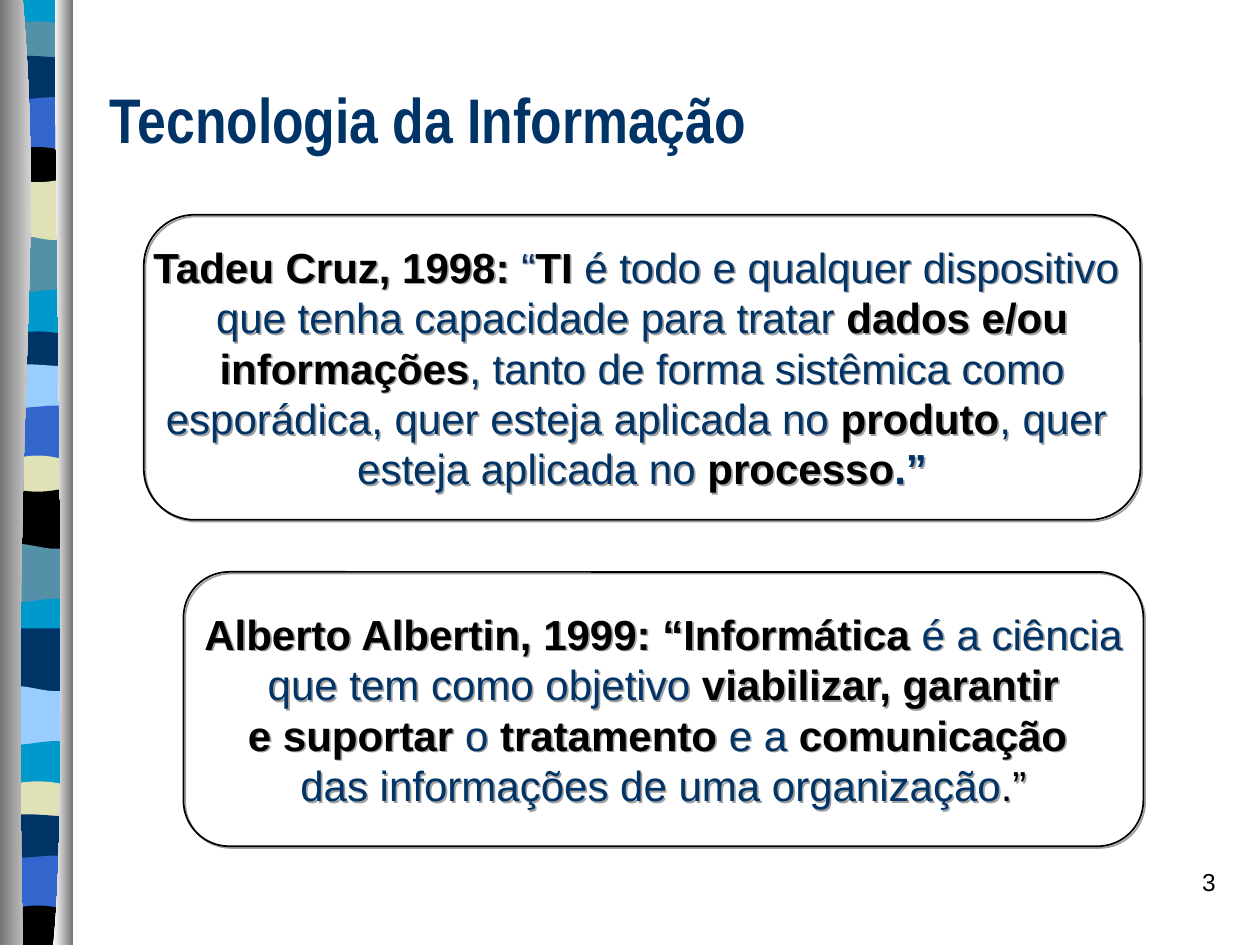
from dataclasses import dataclass

import pptx
import pptx.util
import pptx.dml.color
import pptx.enum.shapes
import pptx.enum.text
import pptx.oxml
from pptx.oxml.ns import nsdecls, qn
from pptx.util import Cm, Pt


@dataclass(frozen=True)
class Theme:
    navy: str = "003366"
    black: str = "000000"
    sky: str = "0099CC"
    teal: str = "5490A8"
    blue: str = "3366CC"
    pale: str = "99CCFF"
    sand: str = "E1E1B7"
    grey: str = "767676"
    white: str = "FFFFFF"
    shadow: str = "808080"
    title_font: str = "Arial Narrow"
    body_font: str = "Arial"
    title_size: int = 36
    body_size: int = 24
    number_size: int = 14


T = Theme()
ALIGN = pptx.enum.text.PP_ALIGN
ANCHOR = pptx.enum.text.MSO_ANCHOR
SLIDE_H = 19.05
RIBBON_LEFT, RIBBON_RIGHT = 0.08, 1.44

# Ribbon bands from the top: colour, top edge (cm), pull of its two curve handles
BANDS = [
    (T.sky, 0, 0, 0), (T.teal, 0.53, -0.13, -0.13), (T.navy, 1.17, -0.1, 0),
    (T.blue, 1.98, 0.08, -0.08), (T.black, 3.1, -0.18, -0.18),
    (T.sand, 3.56, 0.15, 0.15), (T.teal, 4.78, -0.15, 0.2),
    (T.sky, 5.89, 0.1, -0.15), (T.navy, 6.78, -0.13, -0.13),
    (T.pale, 7.39, -0.1, 0), (T.blue, 8.2, 0.08, -0.08),
    (T.sand, 9.32, -0.18, -0.18), (T.black, 9.8, 0.15, 0.15),
    (T.teal, 11, -0.15, 0.2), (T.sky, 12.12, 0.1, -0.15),
    (T.navy, 12.67, 0, 0), (T.pale, 13.87, -0.15, 0.2),
    (T.sky, 14.99, 0.1, -0.15), (T.sand, 15.85, -0.13, -0.13),
    (T.navy, 16.46, -0.1, 0), (T.blue, 17.27, 0.08, -0.08),
    (T.black, 18.39, -0.18, -0.18),
]

# Run styles: colour, bold
KEY = (T.black, True)
PLAIN = (T.navy, False)
NAVY_BOLD = (T.navy, True)
BLACK_PLAIN = (T.black, False)

CRUZ = [
    [("Tadeu Cruz, 1998: ", KEY), ("“", PLAIN), ("TI", KEY),
     (" é todo e qualquer dispositivo ", PLAIN)],
    [("que tenha capacidade para tratar ", PLAIN), ("dados e/ou", KEY)],
    [("informações", KEY), (", tanto de forma sistêmica como", PLAIN)],
    [("esporádica, quer esteja aplicada no ", PLAIN), ("produto", KEY),
     (", quer ", PLAIN)],
    [("esteja aplicada no ", PLAIN), ("processo", KEY), (".”", NAVY_BOLD)],
]
ALBERTIN = [
    [("Alberto Albertin, 1999: “Informática ", KEY), ("é a ciência", PLAIN)],
    [("que tem como objetivo", PLAIN), (" viabilizar, garantir", KEY)],
    [("e suportar ", KEY), ("o", PLAIN), (" tratamento ", KEY), ("e a", PLAIN),
     (" comunicação ", KEY)],
    [("das informações de uma organização", PLAIN), (".”", BLACK_PLAIN)],
]


def rgb(color):
    return pptx.dml.color.RGBColor.from_string(color)


def set_font(font, name, size, color, bold=False):
    font.name, font.size, font.bold = name, Pt(size), bold
    font.color.rgb = rgb(color)


def add_curved(shapes, curve, corners):
    """Closed shape: one Bezier side (four points, cm), then straight sides."""
    points = [(Cm(x), Cm(y)) for x, y in curve + corners]
    fb = shapes.build_freeform(*points[0])
    fb.add_line_segments(points[1:], close=True)
    sp = fb.convert_to_shape()
    sp.shadow.inherit = False
    sp.line.fill.background()
    # Merge the first three line steps into one cubic curve
    steps = list(sp._element.iter(qn("a:lnTo")))[:3]
    bezier = pptx.oxml.parse_xml(f'<a:cubicBezTo {nsdecls("a")}/>')
    steps[0].addprevious(bezier)
    for step in steps:
        bezier.append(step[0])
        step.getparent().remove(step)
    return sp


def add_band(shapes, color, top, pull1, pull2, bottom):
    third = (RIBBON_RIGHT - RIBBON_LEFT) / 3
    curve = [(RIBBON_LEFT + i * third, top + pull)
             for i, pull in enumerate((0, pull1, pull2, 0))]
    sp = add_curved(shapes, curve, [(RIBBON_RIGHT, bottom), (RIBBON_LEFT, bottom)])
    sp.fill.solid()
    sp.fill.fore_color.rgb = rgb(color)


def add_rail(shapes, outer, curve, colors):
    sp = add_curved(shapes, curve, [(outer, SLIDE_H), (outer, 0)])
    sp.fill.gradient()
    sp.fill.gradient_angle = 0
    for stop, color in zip(sp.fill.gradient_stops, colors):
        stop.color.rgb = rgb(color)


def add_ribbon(prs, s):
    """Side ribbon, placed on the slide master behind everything else."""
    group = s.shapes.add_group_shape()
    shapes = group.shapes
    # Each band runs a little under the next one
    bottoms = [band[1] + 0.2 for band in BANDS[1:]] + [SLIDE_H]
    for band, bottom in zip(BANDS, bottoms):
        add_band(shapes, *band, bottom)
    add_rail(shapes, 0, [(0.46, 0), (0.91, 5.5), (0.23, 7.5), (0.46, SLIDE_H)],
             (T.grey, T.white))
    add_rail(shapes, 1.47, [(1.12, 0), (1.07, 3.2), (1.42, 16.4), (1.07, SLIDE_H)],
             (T.white, T.grey))
    prs.slide_master.shapes._spTree.insert(2, group._element)


def add_title(s, text):
    sp = s.shapes.title
    sp.left, sp.top, sp.width, sp.height = Cm(1.96), Cm(1.78), Cm(22.89), Cm(1.5)
    tf = sp.text_frame
    tf.text = text
    tf.vertical_anchor = ANCHOR.BOTTOM
    p = tf.paragraphs[0]
    p.alignment = ALIGN.LEFT
    set_font(p.font, T.title_font, T.title_size, T.navy, True)


def add_shadow(sp):
    sp._element.spPr.append(pptx.oxml.parse_xml(
        f'<a:effectLst {nsdecls("a")}>'
        '<a:outerShdw dist="17780" dir="2700000" algn="ctr" rotWithShape="0">'
        f'<a:srgbClr val="{T.shadow}"><a:alpha val="75000"/></a:srgbClr>'
        '</a:outerShdw></a:effectLst>'))


def add_quote(s, left, top, width, height, lines):
    sp = s.shapes.add_shape(pptx.enum.shapes.MSO_SHAPE.ROUNDED_RECTANGLE,
                            Cm(left), Cm(top), Cm(width), Cm(height))
    sp.fill.background()
    sp.line.color.rgb = rgb(T.black)
    sp.line.width = Pt(1)
    add_shadow(sp)
    tf = sp.text_frame
    tf.word_wrap = False
    tf.vertical_anchor = ANCHOR.MIDDLE
    for i, runs in enumerate(lines):
        p = tf.add_paragraph() if i else tf.paragraphs[0]
        p.alignment = ALIGN.CENTER
        for text, (color, bold) in runs:
            r = p.add_run()
            r.text = text
            set_font(r.font, T.body_font, T.body_size, color, bold)


def add_page_number(s, number):
    sp = s.shapes.add_textbox(Cm(19.48), Cm(17.35), Cm(5.28), Cm(1.27))
    tf = sp.text_frame
    tf.word_wrap = True
    p = tf.paragraphs[0]
    p.text = number
    p.alignment = ALIGN.RIGHT
    set_font(p.font, T.body_font, T.number_size, T.black)


def main():
    prs = pptx.Presentation()
    prs.slide_width, prs.slide_height = Cm(25.4), Cm(SLIDE_H)
    s = prs.slides.add_slide(prs.slide_layouts[5])
    add_ribbon(prs, s)
    add_title(s, "Tecnologia da Informação")
    add_quote(s, 2.9, 4.33, 20.09, 6.15, CRUZ)
    add_quote(s, 3.7, 11.53, 19.35, 5.53, ALBERTIN)
    add_page_number(s, "3")
    prs.save("out.pptx")


if __name__ == "__main__":
    main()
